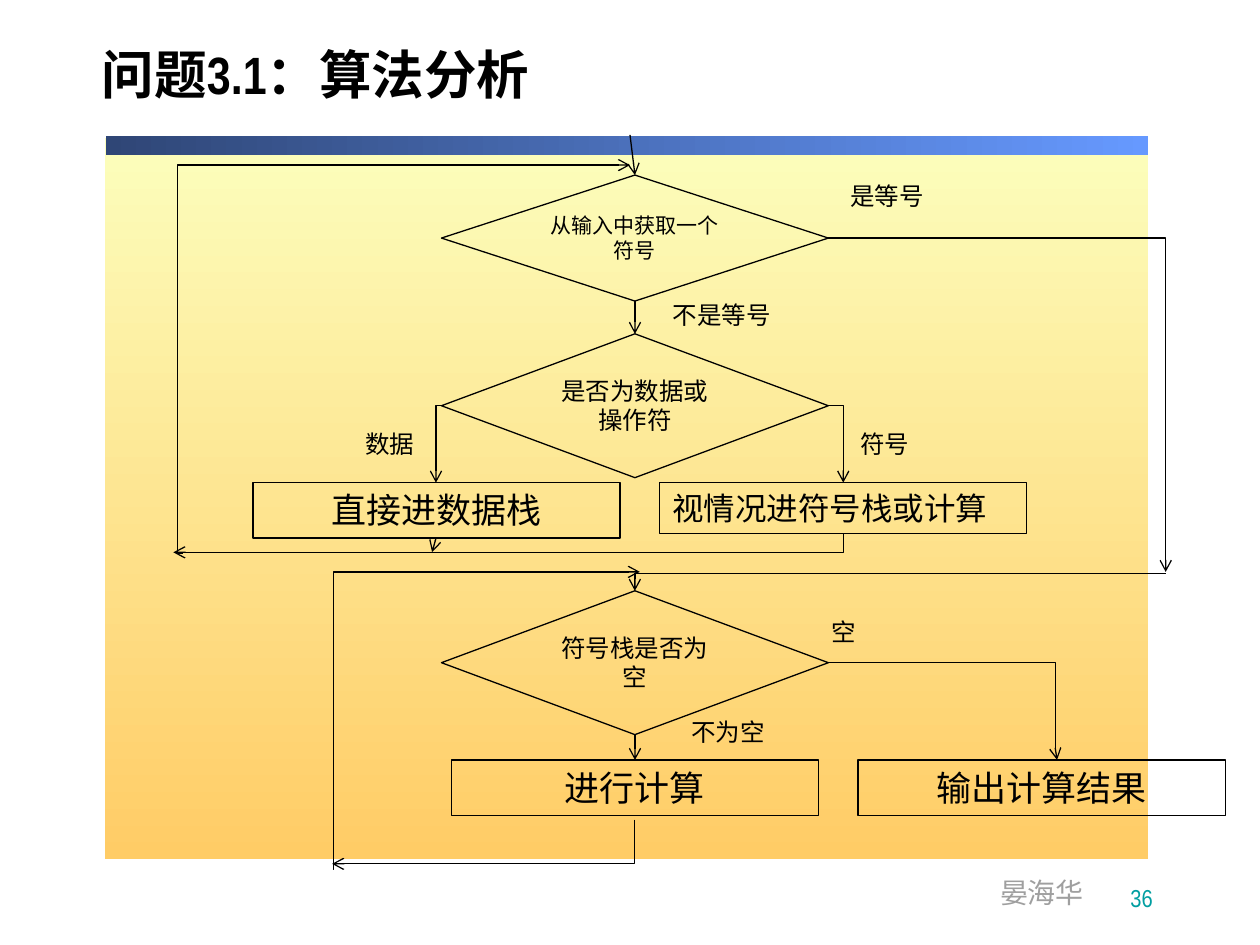
"""Build the slide with the flowchart for problem 3.1."""
from dataclasses import dataclass

from lxml import etree
from pptx import Presentation
from pptx.dml.color import RGBColor
from pptx.enum import shapes, text
from pptx.oxml.ns import qn
from pptx.util import Cm, Pt


@dataclass(frozen=True)
class Theme:
    ink: str = "000000"
    author: str = "9F9F9F"
    number: str = "009EA1"
    panel: tuple = ("FCFEBC", "FFCC66")
    bar: tuple = ("2F4676", "6699FF")
    latin: str = "Arial Narrow"
    cjk: str = "Noto Sans CJK SC"
    title: int = 30
    action: int = 20
    long_action: int = 18
    footer: int = 16
    label: int = 14
    small: int = 12
    line: float = 0.75


def write(s, words, size, font, color=Theme.ink, bold=False, align="LEFT", anchor="TOP",
          wrap=True, fit="SHAPE_TO_FIT_TEXT"):
    tf = s.text_frame
    frame = {"word_wrap": wrap, "auto_size": text.MSO_AUTO_SIZE[fit],
             "vertical_anchor": text.MSO_ANCHOR[anchor]}
    for key, value in frame.items():
        setattr(tf, key, value)
    p = tf.paragraphs[0]
    p.alignment = text.PP_ALIGN[align]
    r = p.add_run()
    r.text = words
    for key, value in {"size": Pt(size), "bold": bold, "name": font}.items():
        setattr(r.font, key, value)
    r.font.color.rgb = RGBColor.from_string(color)
    etree.SubElement(r.font._element, qn("a:ea"), typeface=Theme.cjk)
    return p


def connect(kind, x1, y1, x2, y2, preset=None, turn=0, adj=None):
    c = s.shapes.add_connector(kind, Cm(x1), Cm(y1), Cm(x2), Cm(y2))
    c.line.color.rgb = RGBColor.from_string(theme.ink)
    c.line.width = Pt(theme.line)
    etree.SubElement(c.line._get_or_add_ln(), qn("a:tailEnd"), type="arrow")
    sp_pr = c._element.spPr
    etree.SubElement(sp_pr, qn("a:effectLst"))
    geometry = sp_pr.find(qn("a:prstGeom"))
    if preset:
        geometry.set("prst", preset)
    if turn:
        sp_pr.find(qn("a:xfrm")).set("rot", str(turn * 60000))
    if adj is not None:
        etree.SubElement(geometry.find(qn("a:avLst")), qn("a:gd"), name="adj1", fmla=f"val {adj}")


theme = Theme()
prs = Presentation()
prs.slide_width, prs.slide_height = Cm(25.4), Cm(19.05)
s = prs.slides.add_slide(prs.slide_layouts[5])

for box, colors, angle in [
    ((2.11, 2.79, 21.03, 14.53), theme.panel, 270),
    ((2.13, 2.74, 21.01, 0.38), theme.bar, 0),
]:
    sp = s.shapes.add_shape(shapes.MSO_SHAPE.RECTANGLE, *map(Cm, box))
    sp.shadow.inherit = False
    sp.line.fill.background()
    sp.fill.gradient()
    sp.fill.gradient_angle = angle
    for stop, color, position in zip(sp.fill.gradient_stops, colors, (0, 1)):
        stop.color.rgb = RGBColor.from_string(color)
        stop.position = position

sp = s.shapes.add_textbox(Cm(19.91), Cm(17.53), Cm(2.21), Cm(0.94))
write(sp, "晏海华", theme.footer, theme.latin, theme.author, wrap=False)

title = s.shapes.title
for key, value in {"left": 1.8, "top": 0.43, "width": 22.76, "height": 2.34}.items():
    setattr(title, key, Cm(value))
p = write(title, "问题3.1：算法分析", theme.title, theme.latin, bold=True, anchor="MIDDLE", fit="NONE")
p.line_spacing = 0.8
s.shapes._spTree.append(title._element)

sp = s.shapes.add_textbox(Cm(18.69), Cm(17.3), Cm(4.8), Cm(1.22))
write(sp, "36", theme.label, theme.latin, theme.number, align="RIGHT", anchor="BOTTOM", fit="NONE")

decision, action = shapes.MSO_SHAPE.FLOWCHART_DECISION, shapes.MSO_SHAPE.RECTANGLE
widths = {decision: 7.8, action: 7.4}
for kind, left, top, height, words, size, align in [
    (decision, 8.9, 3.53, 2.54, "从输入中获取一个符号", theme.small, "CENTER"),
    (decision, 8.9, 6.73, 2.9, "是否为数据或操作符", theme.label, "CENTER"),
    (action, 5.1, 9.73, 1.12, "直接进数据栈", theme.action, "CENTER"),
    (action, 13.3, 9.73, 1.02, "视情况进符号栈或计算", theme.long_action, "LEFT"),
    (decision, 8.9, 11.91, 2.9, "符号栈是否为空", theme.label, "CENTER"),
    (action, 9.1, 15.32, 1.12, "进行计算", theme.action, "CENTER"),
    (action, 17.3, 15.32, 1.12, "输出计算结果", theme.action, "CENTER"),
]:
    sp = s.shapes.add_shape(kind, Cm(left), Cm(top), Cm(widths[kind]), Cm(height))
    sp.shadow.inherit = False
    sp.fill.background()
    sp.line.color.rgb = RGBColor.from_string(theme.ink)
    sp.line.width = Pt(theme.line)
    write(sp, words, size, theme.cjk, align=align)

straight, elbow = shapes.MSO_CONNECTOR.STRAIGHT, shapes.MSO_CONNECTOR.ELBOW
for ends in [
    (12.7, 2.72, 12.8, 3.53),
    (12.8, 6.07, 12.8, 6.73),
    (8.79, 10.85, 8.71, 11.13),
    (12.8, 14.81, 12.8, 15.32),
]:
    connect(straight, *ends)

for ends, turn in [
    ((8.89, 8.18, 8.79, 9.73), 0),
    ((16.69, 8.18, 17, 9.73), 0),
    ((10.06, 4.19, 10.44, 17.7), 90),
    ((23.5, 11.56, 12.8, 11.91), 0),
    ((9.3, 13.92, 10.19, 20.02), 90),
]:
    connect(elbow, *ends, preset="bentConnector2", turn=turn)

for ends, adj in [
    ((3.68, 11.15, 12.7, 3.33), -1100),
    ((16.69, 4.8, 23.5, 11.53), 100000),
    ((16.69, 13.36, 21.31, 15.32), 99300),
    ((6.71, 17.53, 12.9, 11.53), 200),
]:
    connect(elbow, *ends, adj=adj)

for left, top, words in [
    (13.31, 5.92, "不是等号"),
    (16.89, 3.53, "是等号"),
    (13.69, 14.33, "不为空"),
    (16.51, 12.32, "空"),
    (7.11, 8.53, "数据"),
    (17.09, 8.53, "符号"),
]:
    sp = s.shapes.add_textbox(Cm(left), Cm(top), Cm(0.51 + 0.5 * len(words)), Cm(0.86))
    write(sp, words, theme.label, theme.latin, wrap=False)

prs.save("out.pptx")
